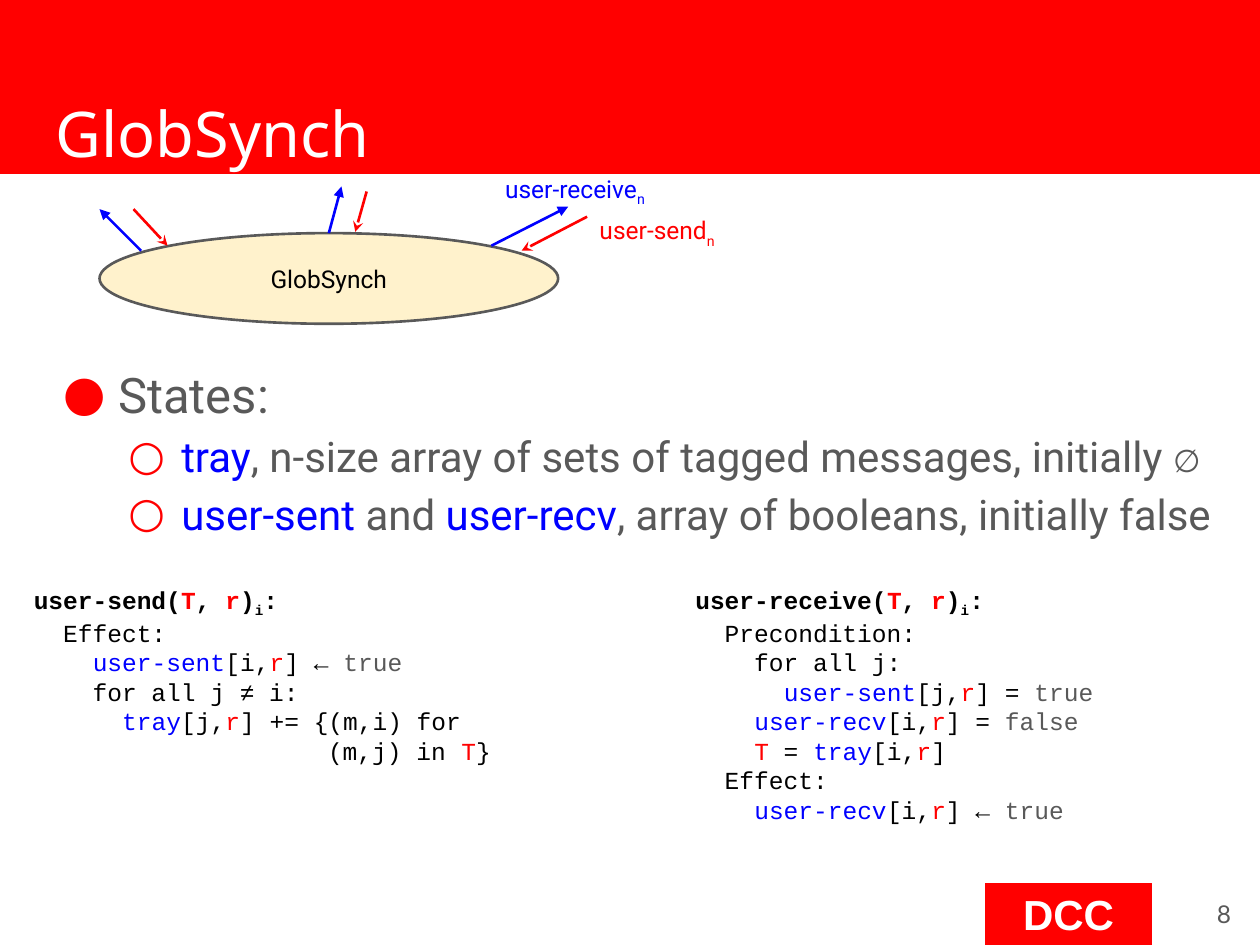
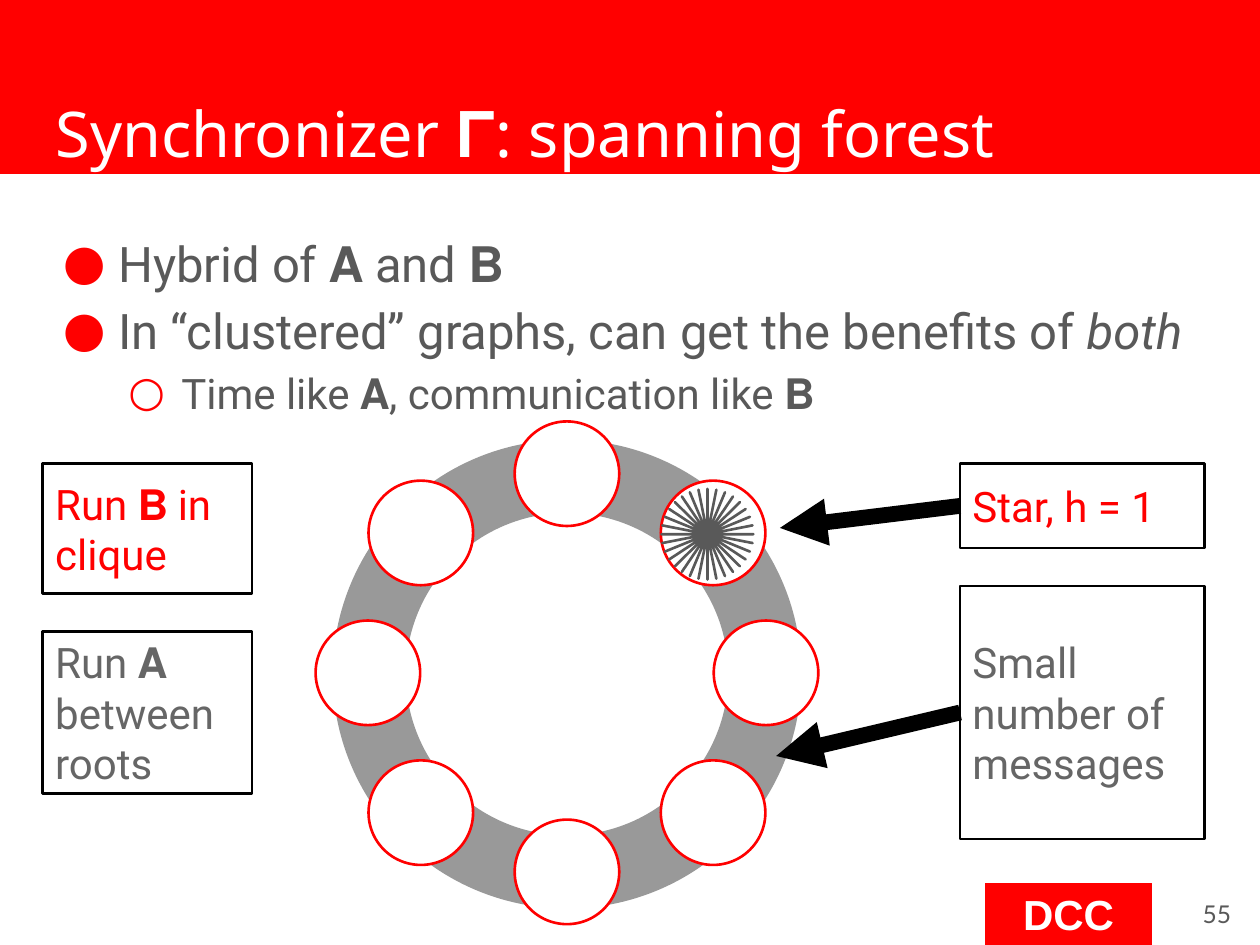
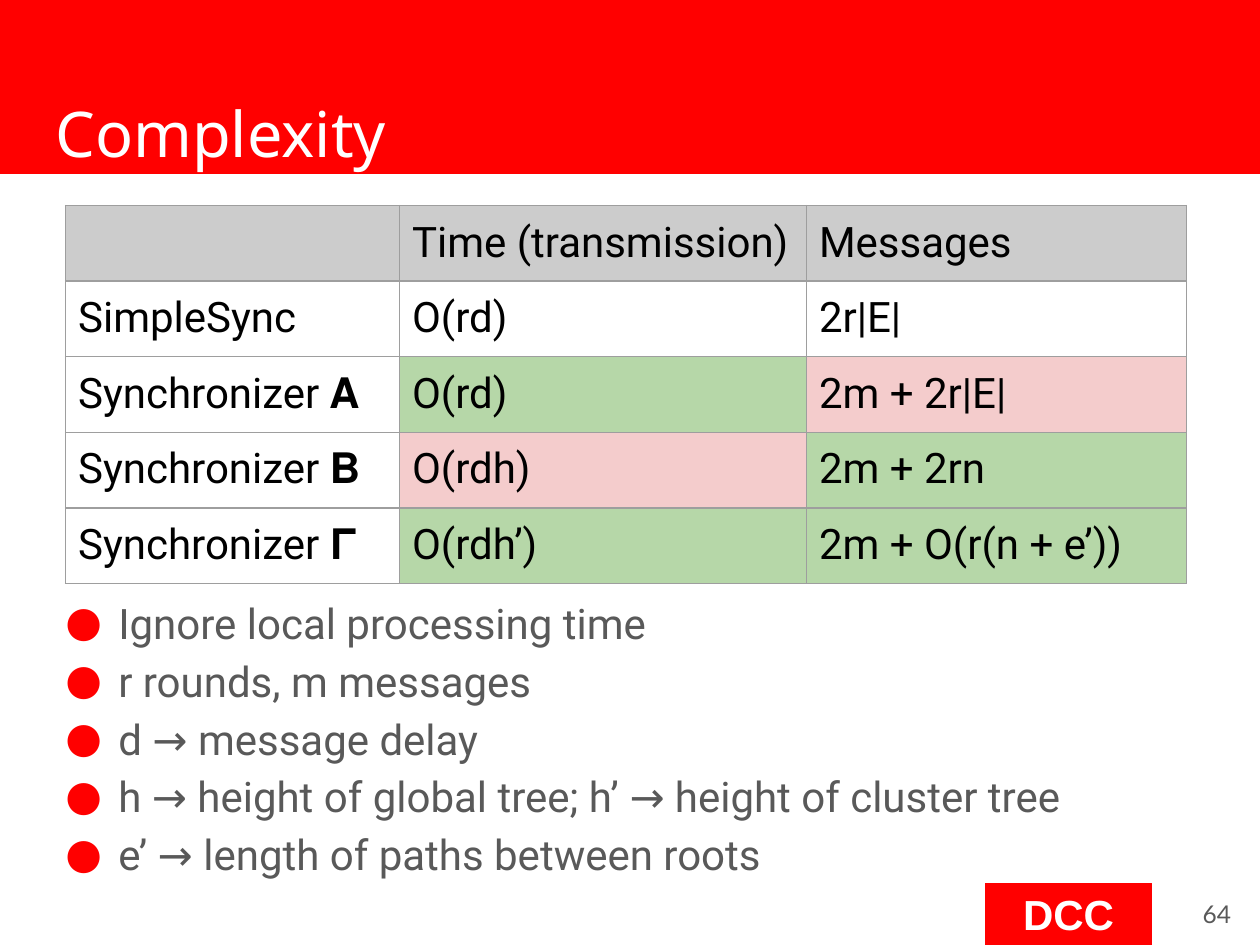
from itertools import product

from lxml.etree import SubElement
from pptx import Presentation
from pptx.dml.color import RGBColor
from pptx.enum.shapes import MSO_CONNECTOR, MSO_SHAPE
from pptx.enum.text import MSO_ANCHOR, MSO_AUTO_SIZE, PP_ALIGN
from pptx.oxml.ns import qn
from pptx.util import Inches, Pt

RED = RGBColor(0xFF, 0x00, 0x00)
BLUE = RGBColor(0x00, 0x00, 0xFF)
BLACK = RGBColor(0x00, 0x00, 0x00)
WHITE = RGBColor(0xFF, 0xFF, 0xFF)
GRAY = RGBColor(0x59, 0x59, 0x59)
MID_GRAY = RGBColor(0x66, 0x66, 0x66)
RING_GRAY = RGBColor(0x99, 0x99, 0x99)
HEADER_GRAY = RGBColor(0xCC, 0xCC, 0xCC)
STAR_GRAY = RGBColor(0xEE, 0xEE, 0xEE)
CREAM = RGBColor(0xFF, 0xF2, 0xCC)
GREEN = RGBColor(0xB6, 0xD7, 0xA8)
PINK = RGBColor(0xF4, 0xCC, 0xCC)
GRID = "9E9E9E"

PAD = Inches(0.1)
INDENTS = {"●": 0.5, "○": 1}
RUN_COLORS = {"@": BLUE, "#": RED, "%": GRAY}


def write(frame, lines, size=24, font="Roboto", color=GRAY, bold=None,
          align=PP_ALIGN.LEFT, sub_size=24):
    """Add lines to a frame; a leading ● or ○ makes a bullet.

    A ~ parts the runs. A run may start with a mark: @ blue, # red, % gray,
    _ subscript, * italic, ^ small.
    """
    for line in lines:
        paragraph = frame.add_paragraph() if frame.text else frame.paragraphs[0]
        paragraph.alignment = align
        glyph = line[0]
        line_size = sub_size if glyph == "○" else size
        if glyph in INDENTS:
            line = line[2:]
            props = paragraph._p.get_or_add_pPr()
            hang = 0.44 if line_size == 28 else 0.42
            props.set("marL", str(Inches(INDENTS[glyph])))
            props.set("indent", str(-Inches(hang)))
            props.set("lvl", "1" if glyph == "○" else "0")
            SubElement(SubElement(props, qn("a:buClr")), qn("a:srgbClr"), val=str(RED))
            SubElement(props, qn("a:buFont"), typeface=font)
            SubElement(props, qn("a:buChar"), char=glyph)
            paragraph.line_spacing = 1.15
        for part in filter(None, line.split("~")):
            mark = part[0] if part[0] in "@#%_*^" else ""
            run = paragraph.add_run()
            run.text = part[len(mark):]
            run.font.name = font
            run.font.size = Pt(18 if mark == "^" else line_size)
            run.font.bold = bold
            run.font.color.rgb = RUN_COLORS.get(mark, color)
            if mark == "*":
                run.font.italic = True
            if mark == "_":
                run.font._element.set("baseline", "-25000")


def place(slide, kind, box, lines=(), fill=None, line=None, line_width=1.5,
          anchor=MSO_ANCHOR.MIDDLE, **text_format):
    """Add a preset shape, or a text box when kind is None."""
    box = [Inches(length) for length in box]
    if kind is None:
        shape = slide.shapes.add_textbox(*box)
    else:
        shape = slide.shapes.add_shape(kind, *box)
        shape.shadow.inherit = False
        for part, color in ((shape.fill, fill), (shape.line.fill, line)):
            if color is None:
                part.background()
            else:
                part.solid()
                part.fore_color.rgb = color
        if line is not None:
            shape.line.width = Pt(line_width)
    frame = shape.text_frame
    frame.word_wrap = True
    frame.vertical_anchor = anchor
    frame.margin_left = frame.margin_right = PAD
    frame.margin_top = frame.margin_bottom = PAD
    write(frame, lines, **text_format)
    return shape


prs = Presentation()
prs.slide_width, prs.slide_height = Inches(10), Inches(7.5)

# Shared band, title, badge and page number
slides = []
for heading, page in (("GlobSynch", "8"),
                      ("Synchronizer 𝚪: spanning forest", "55"),
                      ("Complexity", "64")):
    slide = prs.slides.add_slide(prs.slide_layouts[5])
    title = slide.shapes.title
    title.left, title.top = Inches(0.34), Inches(0.65)
    title.width, title.height = Inches(9.32), Inches(0.83)
    title.text_frame.auto_size = MSO_AUTO_SIZE.NONE
    title.text_frame.vertical_anchor = MSO_ANCHOR.TOP
    title.text_frame.margin_top = PAD
    write(title.text_frame, [heading], size=36, font="Noto Sans", color=WHITE)
    band = place(slide, MSO_SHAPE.RECTANGLE, (0, 0, 10, 1.38),
                 fill=RED, line=RED, line_width=0.75)
    title.element.addprevious(band.element)
    place(slide, MSO_SHAPE.RECTANGLE, (7.82, 7.01, 1.32, 0.49), ["DCC"],
          fill=RED, line=RED, line_width=0.75,
          font="Arial", color=WHITE, bold=True, align=PP_ALIGN.CENTER)
    place(slide, None, (9.27, 6.97, 0.6, 0.57), [page],
          size=14, font="Lato", align=PP_ALIGN.RIGHT)
    slides.append(slide)
synch, forest, complexity = slides

# GlobSynch: states, automaton and its code
place(synch, None, (0.34, 2.72, 9.45, 3.94), [
    "● States:",
    "○ ~@tray~, n-size array of sets of tagged messages, initially ~^∅",
    "○ ~@user-sent~ and ~@user-recv~, array of booleans, initially false",
], anchor=MSO_ANCHOR.TOP, size=28)
place(synch, MSO_SHAPE.OVAL, (0.79, 1.85, 3.64, 0.72), ["GlobSynch"],
      fill=CREAM, line=GRAY, size=14, color=BLACK, align=PP_ALIGN.CENTER)
for box, label, color in (((3.91, 1.28, 1.42, 0.66), "user-receive~_n", BLUE),
                          ((4.66, 1.61, 1.37, 0.66), "user-send~_n", RED)):
    place(synch, None, box, [label], anchor=MSO_ANCHOR.TOP, size=14, color=color)

send_code = [
    "  Effect:",
    "    ~@user-sent~[i,~#r~] ← ~%true",
    "    for all j ≠ i:",
    "      ~@tray~[j,~#r~] += {(m,i) for",
    "                    (m,j) in ~#T~}",
]
receive_code = [
    "  Precondition:",
    "    for all j:",
    "      ~@user-sent~[j,~#r~] = ~%true",
    "    ~@user-recv~[i,~#r~] = ~%false",
    "    ~#T~ = ~@tray~[i,~#r~]",
    "  Effect:",
    "    ~@user-recv~[i,~#r~] ← ~%true",
]
for left, width, action, code in ((0.17, 5.43, "user-send", send_code),
                                  (5.42, 4.21, "user-receive", receive_code)):
    listing = place(synch, None, (left, 4.54, width, 3.33),
                    [f"{action}(~#T~, ~#r~)~_i~:"], anchor=MSO_ANCHOR.TOP,
                    size=14, font="Courier New", color=BLACK, bold=True)
    write(listing.text_frame, code, size=14, font="Courier New", color=BLACK)

# Spanning forest: ring of clusters
place(forest, None, (0.34, 1.68, 9.32, 4.98), [
    "● Hybrid of 𝚨 and 𝚩",
    "● In “clustered” graphs, can get the benefits of ~*both",
    "○ Time like 𝚨, communication like 𝚩",
], anchor=MSO_ANCHOR.TOP, size=28)
ring = place(forest, MSO_SHAPE.DONUT, (2.64, 3.49, 3.72, 3.72), fill=RING_GRAY)
ring.adjustments[0] = 0.156

CENTER_X, CENTER_Y, RADIUS, CLUSTER = 4.5, 5.34, 1.58, 0.83
offsets = [(0, -RADIUS), (0, RADIUS), (-RADIUS, 0), (RADIUS, 0)]
offsets += product((-1.16, 1.16), (-1.11, 1.11))
for dx, dy in offsets:
    place(forest, MSO_SHAPE.OVAL,
          (CENTER_X + dx - CLUSTER / 2, CENTER_Y + dy - CLUSTER / 2, CLUSTER, CLUSTER),
          fill=WHITE, line=RED)
star = place(forest, MSO_SHAPE.STAR_32_POINT, (5.25, 3.88, 0.73, 0.72),
             fill=STAR_GRAY, line=GRAY)
star.adjustments[0] = 0

star_note, messages_note, _, _ = [
    place(forest, MSO_SHAPE.RECTANGLE, box, [note], line=BLACK, color=color)
    for box, note, color in (
        ((7.62, 3.68, 1.94, 0.67), "Star, h = 1", RED),
        ((7.62, 4.65, 1.94, 2.01), "Small number of messages", MID_GRAY),
        ((0.34, 3.68, 1.66, 1.03), "Run 𝚩 in clique", RED),
        ((0.34, 5.01, 1.66, 1.29), "Run 𝚨 between roots", MID_GRAY),
    )
]

# Arrows: user actions on GlobSynch, then the notes on the ring
for slide, start, end, color, width, head, note in (
    (synch, (1.12, 1.99), (0.79, 1.66), BLUE, 1.5, "triangle", None),
    (synch, (1.06, 1.66), (1.33, 1.95), RED, 1.5, "stealth", None),
    (synch, (2.61, 1.85), (2.71, 1.48), BLUE, 1.5, "triangle", None),
    (synch, (2.91, 1.52), (2.82, 1.84), RED, 1.5, "stealth", None),
    (synch, (3.9, 1.95), (4.51, 1.64), BLUE, 1.5, "triangle", None),
    (synch, (4.66, 1.72), (4.14, 1.99), RED, 1.5, "stealth", None),
    (forest, (7.62, 4.02), (6.19, 4.19), BLACK, 9, "triangle", star_note),
    (forest, (7.62, 5.66), (6.16, 6), BLACK, 9, "triangle", messages_note),
):
    ends = [Inches(length) for length in start + end]
    arrow = slide.shapes.add_connector(MSO_CONNECTOR.STRAIGHT, *ends)
    if note is not None:
        arrow.begin_connect(note, 1)
    arrow.line.color.rgb = color
    arrow.line.width = Pt(width)
    props = arrow.element.spPr
    SubElement(props.find(qn("a:ln")), qn("a:tailEnd"), type=head)
    SubElement(props, qn("a:effectLst"))

# Complexity: comparison table and legend
rows = [
    [("", HEADER_GRAY), ("Time (transmission)", HEADER_GRAY), ("Messages", HEADER_GRAY)],
    [("SimpleSync", None), ("O(rd)", None), ("2r|E|", None)],
    [("Synchronizer 𝚨", None), ("O(rd)", GREEN), ("2m + 2r|E|", PINK)],
    [("Synchronizer 𝚩", None), ("O(rdh)", PINK), ("2m + 2rn", GREEN)],
    [("Synchronizer 𝚪", None), ("O(rdh’)", GREEN), ("2m + O(r(n + e’))", GREEN)],
]
widths = (2.65, 3.23, 3.02)
table = complexity.shapes.add_table(
    len(rows), len(widths), Inches(0.52), Inches(1.63),
    Inches(sum(widths)), Inches(0.6 * len(rows))).table
table.first_row = table.horz_banding = False
for column, width in zip(table.columns, widths):
    column.width = Inches(width)
for r, row in enumerate(rows):
    for c, (text, fill) in enumerate(row):
        cell = table.cell(r, c)
        cell.margin_top = cell.margin_bottom = PAD
        if text:
            write(cell.text_frame, [text], color=BLACK)
        for side in ("lnL", "lnR", "lnT", "lnB"):
            border = SubElement(cell._tc.get_or_add_tcPr(), qn(f"a:{side}"), w=str(Pt(0.75)))
            SubElement(SubElement(border, qn("a:solidFill")), qn("a:srgbClr"), val=GRID)
        if fill is None:
            cell.fill.background()
        else:
            cell.fill.solid()
            cell.fill.fore_color.rgb = fill

place(complexity, None, (0.34, 4.58, 9.32, 1.5), [
    "● Ignore local processing time",
    "● r rounds, m messages",
    "● d → message delay",
    "● h → height of global tree; h’ → height of cluster tree",
    "● e’ → length of paths between roots",
], anchor=MSO_ANCHOR.TOP)

prs.save("out.pptx")
